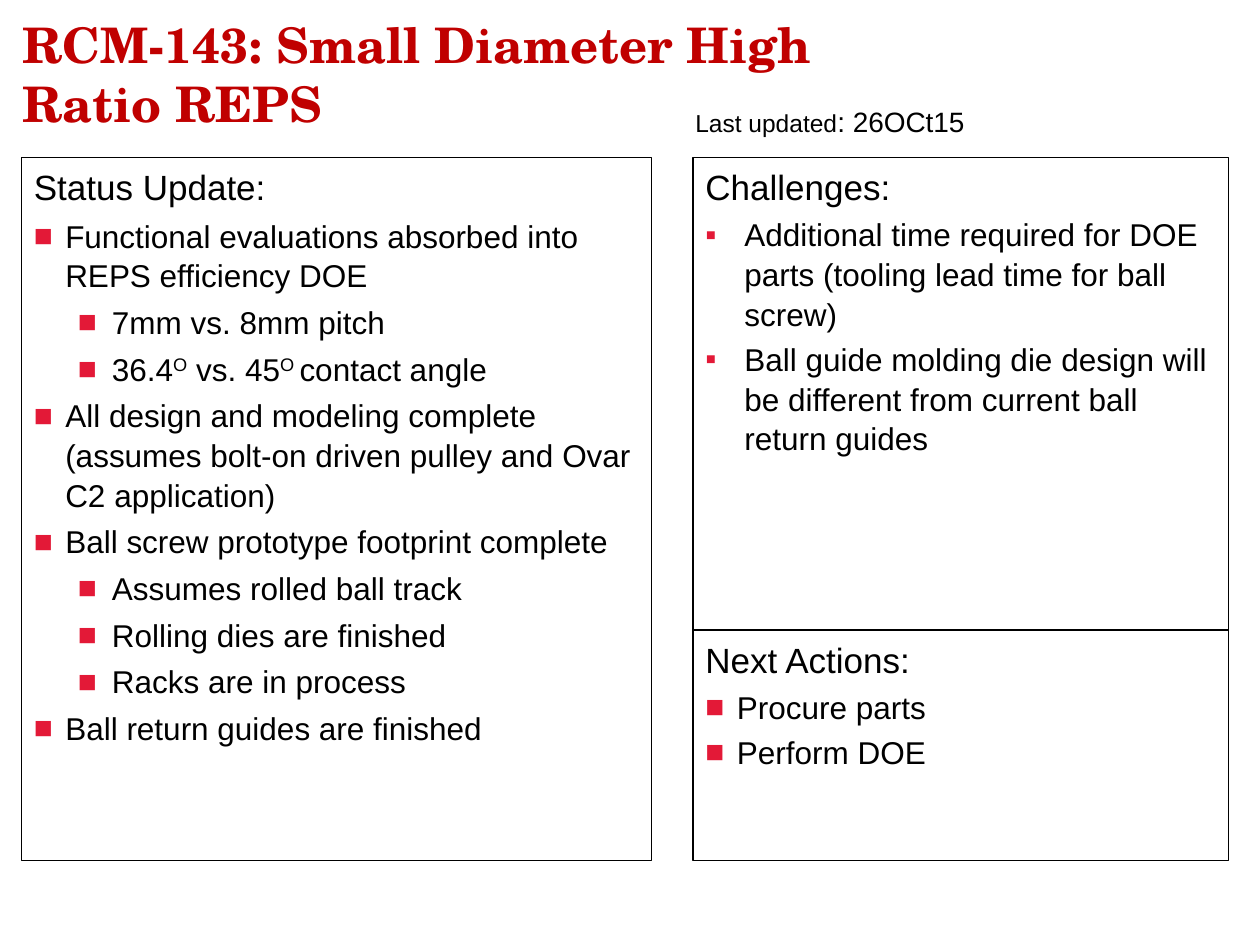
from dataclasses import dataclass

from lxml import etree
from pptx import Presentation
from pptx.dml.color import RGBColor
from pptx.enum.shapes import MSO_SHAPE
from pptx.enum.text import MSO_ANCHOR, PP_ALIGN
from pptx.oxml.ns import qn
from pptx.util import Inches, Pt

RECTANGLE = MSO_SHAPE.RECTANGLE
TOP, MIDDLE = MSO_ANCHOR.TOP, MSO_ANCHOR.MIDDLE
LEFT = PP_ALIGN.LEFT

BODY_FONT, TITLE_FONT = "Arial", "TeX Gyre Schola"
BLACK, BULLET_RED, TITLE_RED = "000000", "E31937", "C00000"
BODY_SPACING = 1.05


@dataclass(frozen=True)
class Box:
    left: float
    top: float
    width: float
    height: float


@dataclass(frozen=True)
class BulletStyle:
    mark: str
    margin: float
    hanging: float
    space_before: float
    level: int = 0


@dataclass(frozen=True)
class Item:
    style: BulletStyle
    text: str  # "^" switches superscript on and off


@dataclass(frozen=True)
class Panel:
    box: Box
    heading: str
    items: tuple[Item, ...]


MAIN = BulletStyle("■", 0.25, 0.27, 4)
SUB = BulletStyle("■", 0.62, 0.27, 4, level=1)
CHALLENGE = BulletStyle("▪", 0.31, 0.31, 3.2)
ACTION = BulletStyle("■", 0.25, 0.3, 3.2)

PANELS = (
    Panel(Box(0.17, 1.25, 5, 5.58), "Status Update:", (
        Item(MAIN, "Functional evaluations absorbed into REPS efficiency DOE"),
        Item(SUB, "7mm vs. 8mm pitch"),
        Item(SUB, "36.4^O^ vs. 45^O ^contact angle"),
        Item(MAIN, "All design and modeling complete (assumes bolt-on driven "
                   "pulley and Ovar C2 application)"),
        Item(MAIN, "Ball screw prototype footprint complete"),
        Item(SUB, "Assumes rolled ball track"),
        Item(SUB, "Rolling dies are finished"),
        Item(SUB, "Racks are in process"),
        Item(MAIN, "Ball return guides are finished"),
    )),
    Panel(Box(5.5, 1.25, 4.25, 3.75), "Challenges:", (
        Item(CHALLENGE, "Additional time required for DOE parts "
                        "(tooling lead time for ball screw)"),
        Item(CHALLENGE, "Ball guide molding die design will be different "
                        "from current ball return guides"),
    )),
    Panel(Box(5.5, 5, 4.25, 1.83), "Next Actions:", (
        Item(ACTION, "Procure parts"),
        Item(ACTION, "Perform DOE"),
    )),
)


def color(hex_value: str) -> RGBColor:
    return RGBColor.from_string(hex_value)


def place(box: Box) -> tuple:
    return tuple(Inches(v) for v in (box.left, box.top, box.width, box.height))


def set_frame(frame, anchor=TOP) -> None:
    settings = {
        "word_wrap": True, "vertical_anchor": anchor,
        "margin_left": Inches(0.1), "margin_right": Inches(0.1),
        "margin_top": Inches(0.05), "margin_bottom": Inches(0.05),
    }
    for name, value in settings.items():
        setattr(frame, name, value)


def add_run(paragraph, text: str, size: float, font_name: str = BODY_FONT,
            hex_color: str = BLACK, bold: bool = False):
    run = paragraph.add_run()
    run.text = text
    for name, value in {"name": font_name, "size": Pt(size), "bold": bold}.items():
        setattr(run.font, name, value)
    run.font.color.rgb = color(hex_color)
    return run


def add_bullet(paragraph, style: BulletStyle) -> None:
    properties = paragraph._p.get_or_add_pPr()
    properties.set("marL", str(Inches(style.margin)))
    properties.set("indent", str(-Inches(style.hanging)))
    bullet_color = etree.SubElement(properties, qn("a:buClr"))
    etree.SubElement(bullet_color, qn("a:srgbClr"), val=BULLET_RED)
    etree.SubElement(properties, qn("a:buFont"), typeface=BODY_FONT)
    etree.SubElement(properties, qn("a:buChar"), char=style.mark)


def add_item(frame, item: Item) -> None:
    paragraph = frame.add_paragraph()
    settings = {
        "alignment": LEFT, "level": item.style.level,
        "line_spacing": BODY_SPACING, "space_before": Pt(item.style.space_before),
    }
    for name, value in settings.items():
        setattr(paragraph, name, value)
    add_bullet(paragraph, item.style)
    for index, part in enumerate(item.text.split("^")):
        run = add_run(paragraph, part, 18)
        if index % 2:
            run._r.get_or_add_rPr().set("baseline", "30000")


def add_panel(slide, panel: Panel) -> None:
    frame_shape = slide.shapes.add_shape(RECTANGLE, *place(panel.box))
    frame_shape.shadow.inherit = False
    frame_shape.fill.background()
    frame_shape.line.color.rgb = color(BLACK)
    frame_shape.line.width = Pt(0.75)
    frame = frame_shape.text_frame
    set_frame(frame)
    heading = frame.paragraphs[0]
    heading.alignment = LEFT
    heading.line_spacing = BODY_SPACING
    add_run(heading, panel.heading, 20)
    for item in panel.items:
        add_item(frame, item)


def add_label(slide, box: Box, anchor=TOP):
    frame = slide.shapes.add_textbox(*place(box)).text_frame
    set_frame(frame, anchor)
    return frame.paragraphs[0]


def main() -> None:
    deck = Presentation()
    deck.slide_width, deck.slide_height = Inches(10), Inches(7.5)
    slide = deck.slides.add_slide(deck.slide_layouts[6])

    # Bordered panels
    for panel in PANELS:
        add_panel(slide, panel)

    # Date of the last update
    updated = add_label(slide, Box(5.42, 0.77, 4, 0.4))
    updated.line_spacing = BODY_SPACING
    add_run(updated, "Last updated", 14)
    add_run(updated, ": 26OCt15", 16)

    # Title
    title = add_label(slide, Box(0.08, 0.08, 6.67, 1), MIDDLE)
    add_run(title, "RCM-143: Small Diameter High Ratio REPS", 28,
            TITLE_FONT, TITLE_RED, bold=True)

    deck.save("out.pptx")


if __name__ == "__main__":
    main()
